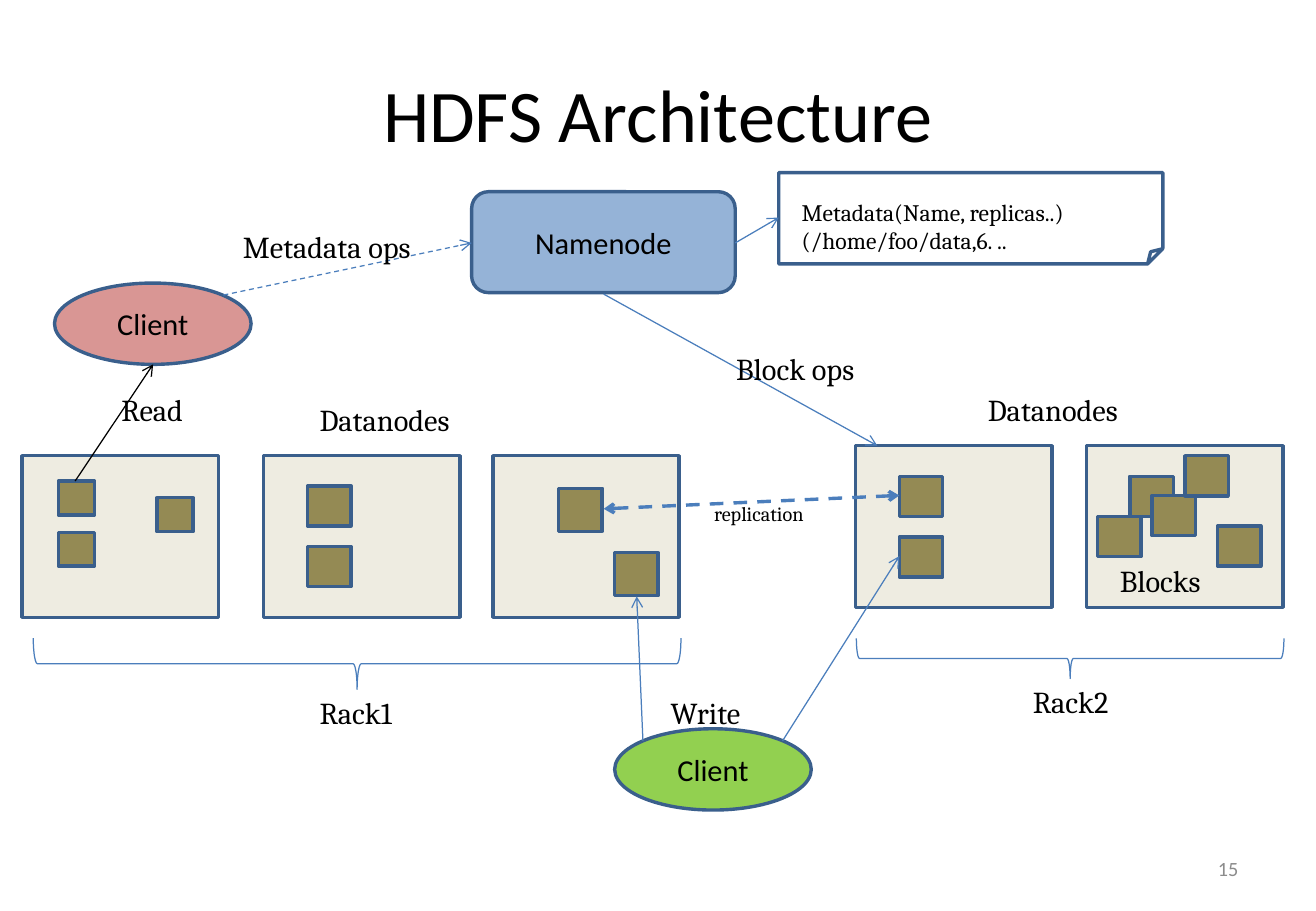
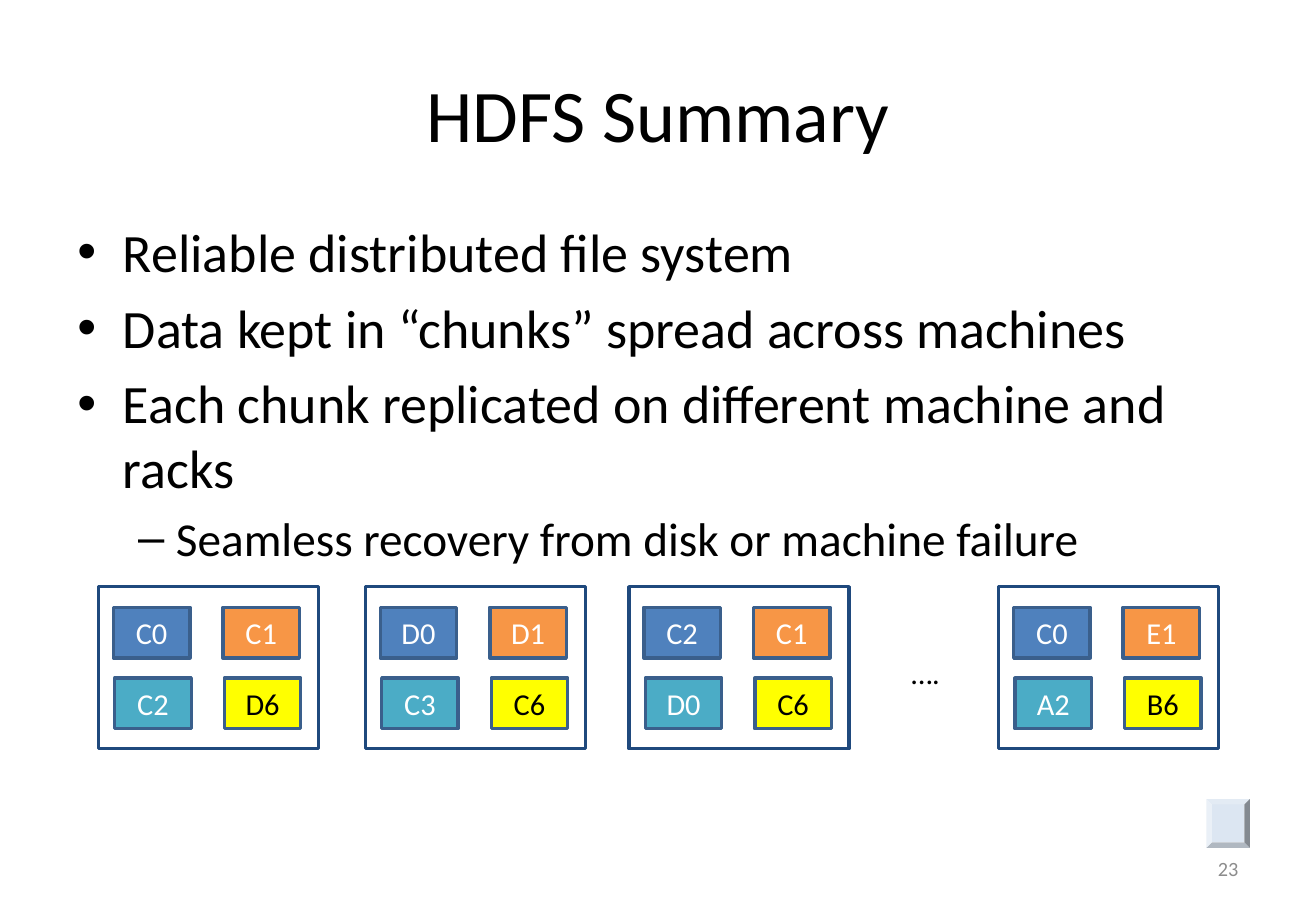
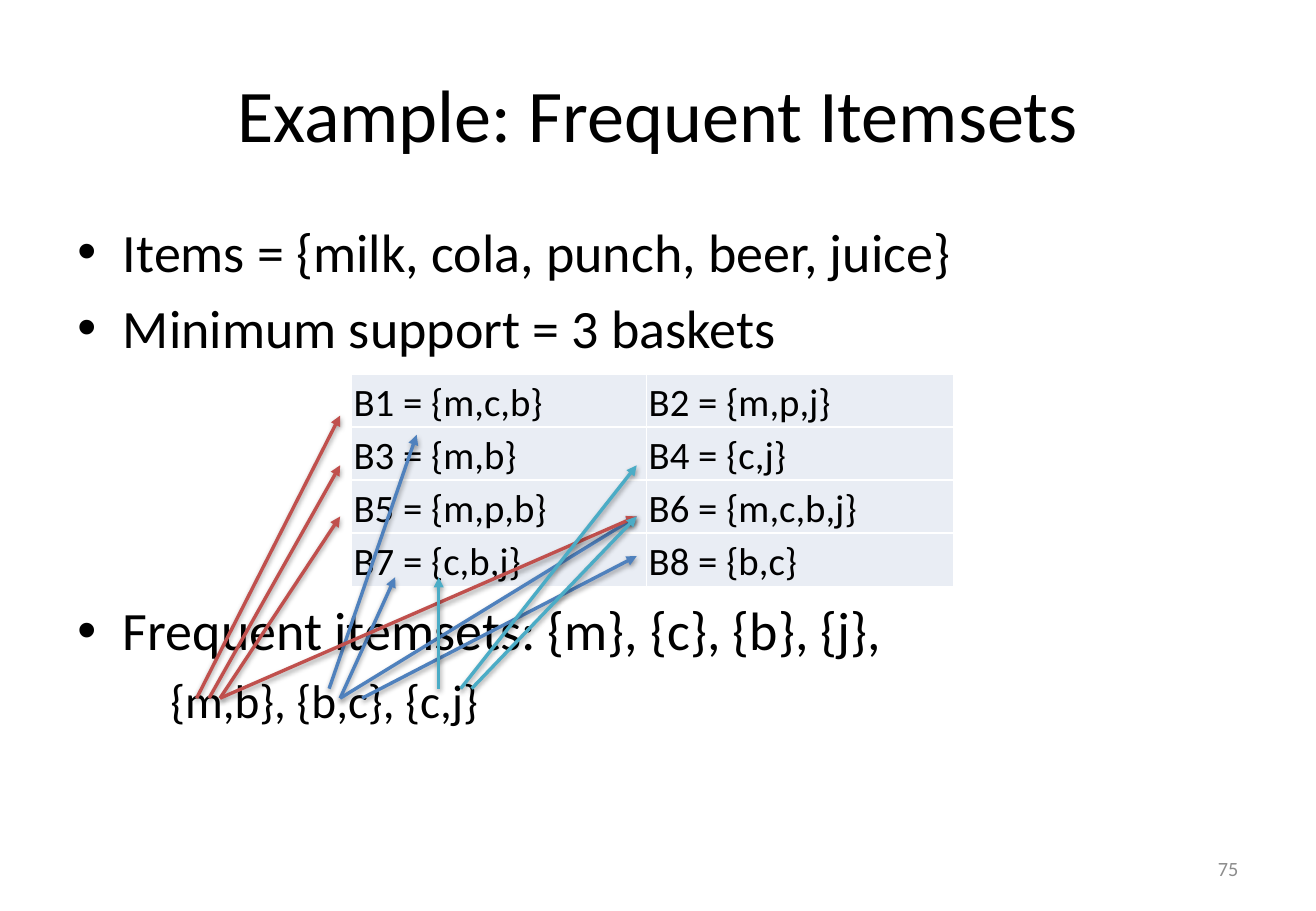
"""Builds three slides on HDFS and frequent itemsets."""
from lxml import etree
from pptx import Presentation
from pptx.dml.color import RGBColor
from pptx.enum.dml import MSO_LINE
from pptx.enum.shapes import MSO_CONNECTOR, MSO_SHAPE
from pptx.enum.text import MSO_ANCHOR, MSO_AUTO_SIZE, PP_ALIGN
from pptx.oxml.ns import qn
from pptx.util import Cm, Pt

RECT = MSO_SHAPE.RECTANGLE
ROUND = MSO_SHAPE.ROUNDED_RECTANGLE
OVAL = MSO_SHAPE.OVAL
FOLD = MSO_SHAPE.FOLDED_CORNER
BRACE = MSO_SHAPE.RIGHT_BRACE
BEVEL = MSO_SHAPE.BEVEL
LEFT, MID, RIGHT = PP_ALIGN.LEFT, PP_ALIGN.CENTER, PP_ALIGN.RIGHT
CENTER, BOTTOM = MSO_ANCHOR.MIDDLE, MSO_ANCHOR.BOTTOM
FIT = MSO_AUTO_SIZE.SHAPE_TO_FIT_TEXT
DASH = MSO_LINE.DASH
STRAIGHT = MSO_CONNECTOR.STRAIGHT

BLACK = RGBColor(0x00, 0x00, 0x00)
WHITE = RGBColor(0xFF, 0xFF, 0xFF)
GRAY = RGBColor(0x8C, 0x8C, 0x8C)
EDGE = RGBColor(0x3A, 0x5F, 0x8C)
NAVY = RGBColor(0x1F, 0x49, 0x7D)
WIRE = RGBColor(0x4B, 0x7E, 0xBC)
SKY = RGBColor(0x95, 0xB3, 0xD7)
ROSE = RGBColor(0xD9, 0x96, 0x94)
LIME = RGBColor(0x92, 0xD0, 0x50)
SAND = RGBColor(0xEE, 0xEC, 0xE1)
KHAKI = RGBColor(0x94, 0x8A, 0x54)
BLUE = RGBColor(0x4F, 0x81, 0xBD)
AMBER = RGBColor(0xF7, 0x96, 0x46)
TEAL = RGBColor(0x4B, 0xAC, 0xC6)
RED = RGBColor(0xC0, 0x50, 0x4D)
YELLOW = RGBColor(0xFF, 0xFF, 0x00)
ICE = RGBColor(0xDC, 0xE6, 0xF2)
MIST = RGBColor(0xE9, 0xED, 0xF4)
SANS, SERIF = "Calibri", "Cambria"


def put(page, kind, at, text="", fill=None, edge=None, width=2, size=18,
        ink=BLACK, font=SANS, align=MID, wrap=True):
    """Add a shape, or a text box when kind is None."""
    spot = [Cm(n) for n in at]
    if kind is None:
        shape = page.shapes.add_textbox(*spot)
    else:
        shape = page.shapes.add_shape(kind, *spot)
        shape.shadow.inherit = False
        if fill is None:
            shape.fill.background()
        else:
            shape.fill.solid()
            shape.fill.fore_color.rgb = fill
        if edge is None:
            shape.line.fill.background()
        else:
            shape.line.color.rgb = edge
            shape.line.width = Pt(width)
    frame = shape.text_frame
    frame.word_wrap = wrap
    if not wrap:
        frame.auto_size = FIT
    for i, row in enumerate(text.split("\n") if text else []):
        para = frame.add_paragraph() if i else frame.paragraphs[0]
        para.alignment = align
        run = para.add_run()
        run.text = row
        run.font.size = Pt(size)
        run.font.name = font
        run.font.color.rgb = ink
    return shape


def link(page, ends, ink, width=0.75, dash=False, tip="arrow", both=False, shade=False):
    """Add an arrow from the first point to the second."""
    line = page.shapes.add_connector(STRAIGHT, *[Cm(n) for n in ends])
    line.line.color.rgb = ink
    line.line.width = Pt(width)
    if dash:
        line.line.dash_style = DASH
    stroke = line.line._get_or_add_ln()
    for tag in ("a:headEnd", "a:tailEnd") if both else ("a:tailEnd",):
        etree.SubElement(stroke, qn(tag), type=tip)
    fx = etree.SubElement(line._element.spPr, qn("a:effectLst"))
    if shade:
        cast = etree.SubElement(fx, qn("a:outerShdw"), blurRad="40000", dist="20000",
                                dir="5400000", rotWithShape="0")
        tone = etree.SubElement(cast, qn("a:srgbClr"), val=str(BLACK))
        etree.SubElement(tone, qn("a:alpha"), val="38000")


deck = Presentation()
deck.slide_width, deck.slide_height = Cm(27.51), Cm(19.05)

pages = []
for title, number in (("HDFS Architecture", "15"), ("HDFS Summary", "23"),
                      ("Example: Frequent Itemsets", "75")):
    page = deck.slides.add_slide(deck.slide_layouts[6])
    head = put(page, None, (1.37, 0.76, 24.77, 3.18), title, size=44)
    foot = put(page, None, (19.71, 17.65, 6.43, 1.02), number, size=12,
               ink=GRAY, align=RIGHT)
    for shape in (head, foot):
        shape.text_frame.vertical_anchor = CENTER
    pages.append(page)
arch, brief, sets = pages

bodies = (
    (brief, (("Reliable distributed file system", 32, "•", 0.95, 0.95, 6.4),
             ("Data kept in “chunks” spread across machines", 32, "•", 0.95, 0.95, 6.4),
             ("Each chunk replicated on different machine and racks", 32, "•",
              0.95, 0.95, 6.4),
             ("Seamless recovery from disk or machine failure", 28, "–",
              2.06, 0.79, 5.6))),
    (sets, (("Items = {milk, cola, punch, beer, juice}", 32, "•", 0.95, 0.95, 6.4),
            ("Minimum support = 3 baskets", 32, "•", 0.95, 0.95, 6.4),
            ("Frequent itemsets: {m}, {c}, {b}, {j},", 32, "•", 0.95, 0.95, 141),
            ("{m,b}, {b,c}, {c,j}", 28, "", 1.94, 0, 5.6))),
)
for page, rows in bodies:
    frame = put(page, None, (1.37, 4.45, 24.77, 12.57)).text_frame
    for i, (text, size, mark, left, hang, gap) in enumerate(rows):
        para = frame.add_paragraph() if i else frame.paragraphs[0]
        para.space_before = Pt(gap)
        run = para.add_run()
        run.text = text
        run.font.size = Pt(size)
        run.font.name = SANS
        run.font.color.rgb = BLACK
        props = para._p.get_or_add_pPr()
        props.set("marL", str(Cm(left)))
        props.set("indent", str(-Cm(hang)))
        if mark:
            etree.SubElement(props, qn("a:buFont"), typeface="Arial")
            etree.SubElement(props, qn("a:buChar"), char=mark)

for kind, at, text, fill in (
        (ROUND, (9.86, 4.01, 5.51, 2.11), "Namenode", SKY),
        (OVAL, (12.85, 15.24, 4.11, 1.7), "Client", LIME),
        (OVAL, (1.14, 5.92, 4.11, 1.7), "Client", ROSE),
        (FOLD, (16.28, 3.61, 8.03, 1.91), "", None)):
    put(arch, kind, at, text, fill, EDGE)

for x, y, wide in ((0.46, 9.53, 4.11), (5.51, 9.53, 4.11), (10.31, 9.53, 3.89),
                   (17.88, 9.32, 4.11), (22.71, 9.32, 4.11)):
    put(arch, RECT, (x, y, wide, 3.38), fill=SAND, edge=EDGE)

for wide, high, spots in (
        (0.76, 0.71, ((1.22, 10.06), (1.22, 11.13), (3.28, 10.41))),
        (0.91, 0.84, ((6.43, 10.16), (6.43, 11.43), (18.8, 9.96), (18.8, 11.23),
                      (23.62, 9.96), (22.94, 10.8), (24.08, 10.36), (25.45, 11),
                      (24.77, 9.53))),
        (0.91, 0.9, ((11.68, 10.21), (12.85, 11.56)))):
    for x, y in spots:
        put(arch, RECT, (x, y, wide, high), fill=KHAKI, edge=EDGE)

for at in ((6.93, 7.11, 1.07, 13.54), (21.95, 9.3, 0.84, 8.94)):
    brace = put(arch, BRACE, at, edge=WIRE, width=0.75)
    brace.rotation = 90
    brace.adjustments[0] = 0.08

link(arch, (12.62, 10.64, 18.8, 10.36), WIRE, 2, dash=True, both=True)
link(arch, (4.67, 6.17, 9.86, 5.08), WIRE, dash=True)
link(arch, (1.57, 10.06, 3.2, 7.62), BLACK)
for ends in ((13.44, 15.49, 13.31, 12.47), (16.36, 15.49, 18.8, 11.63),
             (15.37, 5.08, 16.28, 4.55), (12.62, 6.15, 18.34, 9.32)):
    link(arch, ends, WIRE)

for text, x, y, wide, high, size in (
        ("Rack1", 6.43, 14.4, 2.18, 1.02, 18),
        ("Rack2", 21.34, 14.17, 2.29, 1.02, 18),
        ("Write", 13.77, 14.4, 2.11, 1.02, 18),
        ("Blocks", 23.16, 11.63, 2.36, 1.02, 18),
        ("Datanodes", 6.43, 8.26, 3.56, 1.02, 18),
        ("Datanodes", 20.4, 8.05, 3.56, 1.02, 18),
        ("Read", 2.29, 8.05, 1.98, 1.02, 18),
        ("Metadata ops", 4.83, 4.65, 4.34, 1.02, 18),
        ("Block ops", 15.14, 7.19, 3.23, 1.02, 18),
        ("replication", 14.68, 10.36, 2.54, 0.76, 12),
        ("Metadata(Name, replicas..)\n(/home/foo/data,6. ..", 16.51, 4.01, 6.53, 1.45, 14)):
    put(arch, None, (x, y, wide, high), text, size=size, font=SERIF,
        align=LEFT, wrap=False)

chips = ((0.31, 0.43, BLUE, WHITE), (2.6, 0.43, AMBER, WHITE),
         (0.34, 1.91, TEAL, WHITE), (2.63, 1.91, YELLOW, BLACK))
for x, names in ((2.06, "C0 C1 C2 D6"), (7.64, "D0 D1 C3 C6"),
                 (13.15, "C2 C1 D0 C6"), (20.88, "C0 E1 A2 B6")):
    put(brief, RECT, (x, 12.27, 4.6, 3.39), fill=WHITE, edge=NAVY)
    for name, (dx, dy, fill, ink) in zip(names.split(), chips):
        put(brief, RECT, (x + dx, 12.27 + dy, 1.6, 1.06), name, fill, EDGE, ink=ink)
put(brief, None, (18.8, 13.55, 1.12, 1.02), "….", align=LEFT, wrap=False)
put(brief, BEVEL, (25.22, 16.71, 0.91, 1.02), fill=ICE)

baskets = (("B1 = {m,c,b}", "B2 = {m,p,j}"), ("B3 = {m,b}", "B4 = {c,j}"),
           ("B5 = {m,p,b}", "B6 = {m,c,b,j}"), ("B7 = {c,b,j}", "B8 = {b,c}"))
grid = sets.shapes.add_table(4, 2, Cm(7.34), Cm(7.82), Cm(12.6), Cm(4.44)).table
grid.first_row = grid.horz_banding = False
grid.columns[0].width, grid.columns[1].width = Cm(6.17), Cm(6.43)
for r, pair in enumerate(baskets):
    grid.rows[r].height = Cm(1.11)
    for c, text in enumerate(pair):
        cell = grid.cell(r, c)
        cell.margin_left = cell.margin_right = cell.margin_top = Cm(0.05)
        cell.margin_bottom = 0
        cell.vertical_anchor = BOTTOM
        run = cell.text_frame.paragraphs[0].add_run()
        run.text = text
        run.font.size = Pt(23)
        run.font.name = SANS
        run.font.color.rgb = BLACK
        props = cell._tc.get_or_add_tcPr()
        for side in ("a:lnL", "a:lnR", "a:lnT", "a:lnB"):
            rule = etree.SubElement(props, qn(side), w=str(Pt(1)))
            paint = etree.SubElement(rule, qn("a:solidFill"))
            etree.SubElement(paint, qn("a:srgbClr"), val=str(WHITE))
        cell.fill.solid()
        cell.fill.fore_color.rgb = MIST

for ink, ends in (
        (RED, (4.11, 14.6, 7.11, 8.69)), (RED, (4.37, 14.6, 7.11, 9.73)),
        (RED, (4.6, 14.6, 7.11, 10.8)), (BLUE, (6.88, 14.4, 8.71, 9.09)),
        (BLUE, (7.11, 14.6, 8.26, 12.07)), (BLUE, (7.11, 14.6, 13.31, 10.8)),
        (BLUE, (7.57, 14.6, 13.31, 11.63)), (RED, (4.6, 14.6, 13.31, 10.8)),
        (TEAL, (9.17, 14.4, 9.17, 12.07)), (TEAL, (9.63, 14.4, 13.31, 9.73)),
        (TEAL, (9.86, 14.4, 13.31, 10.8))):
    link(sets, ends, ink, 2, tip="triangle", shade=True)

deck.save("out.pptx")
